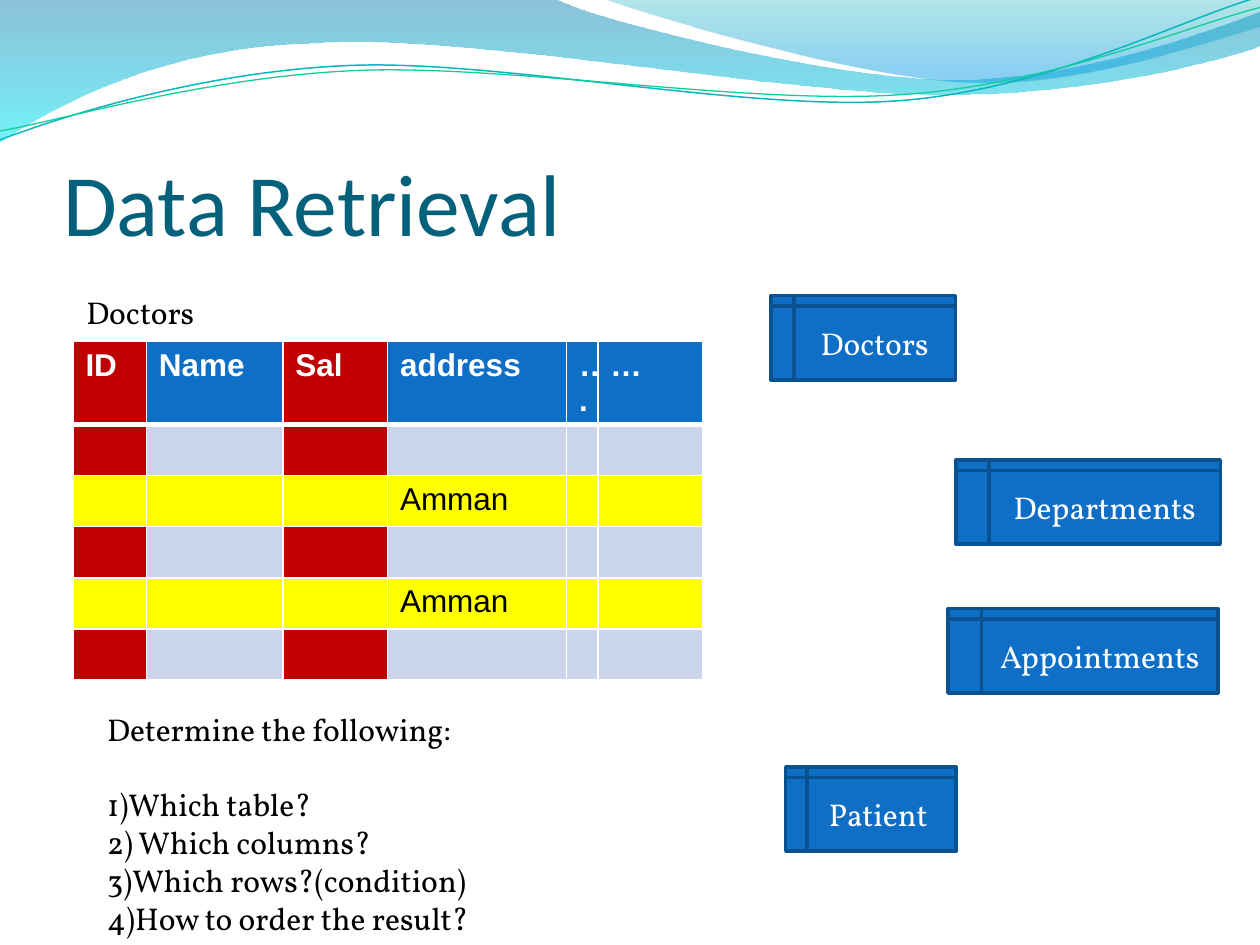
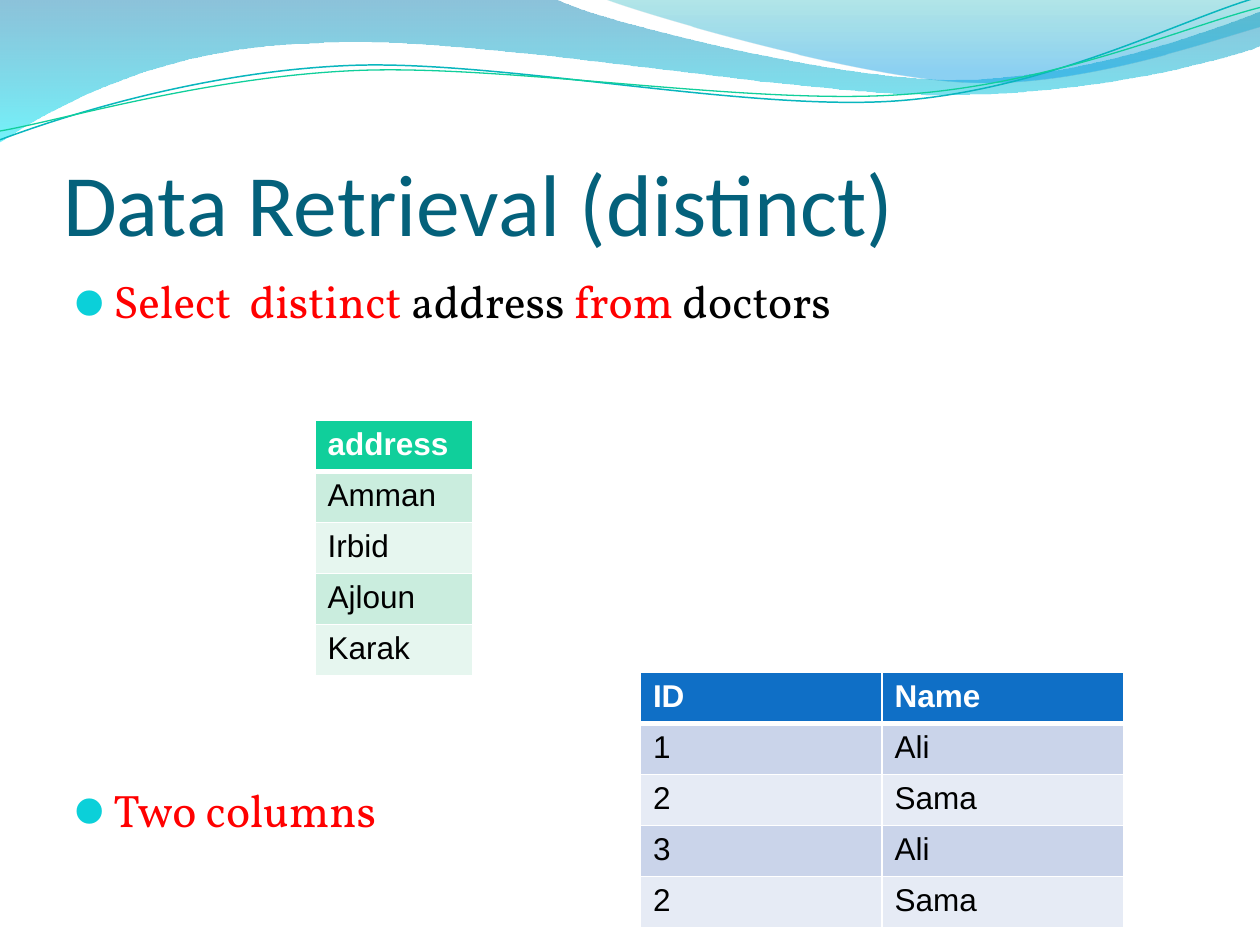
"""Build two slides on retrieving data from tables."""
import dataclasses

import pptx
import pptx.dml.color
import pptx.enum.shapes
import pptx.enum.text
import pptx.oxml
import pptx.oxml.ns
import pptx.util
from pptx.util import Cm, Pt


@dataclasses.dataclass(frozen=True)
class Theme:
    """Colours, fonts and type sizes of the deck."""
    title: str = "04617B"
    black: str = "000000"
    white: str = "FFFFFF"
    keyword: str = "FF0000"
    bullet: str = "0BD0D9"
    blue: str = "0F6FC6"
    blue_edge: str = "0A5190"
    blue_bands: tuple = ("CAD4EA", "E6EBF5")
    green: str = "10CF9B"
    green_bands: tuple = ("CAEDDE", "E6F6EF")
    chosen_column: str = "C00000"
    chosen_row: str = "FFFF00"
    title_font: str = "Calibri"
    body_font: str = "Vollkorn"
    table_font: str = "Arial"
    title_size: int = 50
    body_size: int = 26
    text_size: int = 18


THEME = Theme()
ROW_HEIGHT = 1.03
BLANK_LINE = 21.7

# Outlines in tenths of the slide width: start, then either a point for a
# straight edge or three points for a Bezier curve. Gradients run downwards
# and list position, colour and opacity in percent.
WAVES = (
    ([(0, 0), (4.4, -0.01),
      ((4.76, 0.17), (6.64, 0.63), (7.58, 0.63)),
      ((8.53, 0.63), (9.58, 0.26), (10, 0.09)), (10.01, 0.36),
      ((9.83, 0.44), (8.7, 0.76), (7.46, 0.75)),
      ((6.22, 0.75), (3.82, 0.28), (2.57, 0.34)),
      ((1.29, 0.36), (0.46, 0.83), (-0.01, 1.13))],
     ((0, "0079AD", 45), (100, "00E9F7", 55))),
    ([(4.79, -0.01),
      ((5.09, 0.11), (6.82, 0.62), (7.69, 0.65)),
      ((8.56, 0.69), (9.61, 0.32), (10, 0.21)), (10, 0)],
     ((0, "00ABB4", 30), (80, "0099E4", 45))),
)
STRANDS = (
    ([(0, 1.11),
      ((0.48, 0.93), (1.58, 0.57), (2.77, 0.52)),
      ((3.95, 0.47), (5.93, 0.89), (7.13, 0.8)),
      ((8.33, 0.71), (9.38, 0.15), (9.98, -0.02))], "09B6BE", 0.85),
    ([(0, 1.04),
      ((0.47, 0.96), (1.64, 0.61), (2.83, 0.56)),
      ((4.03, 0.51), (5.97, 0.84), (7.17, 0.75)),
      ((8.36, 0.67), (9.41, 0.21), (10, 0.06))], "10CF9B", 0.75),
)


def rgb(code):
    """Turn a hex code into a colour."""
    return pptx.dml.color.RGBColor.from_string(code)


def place(shape, left, top, width, height):
    """Move and size a shape, in centimetres."""
    shape.left, shape.top = Cm(left), Cm(top)
    shape.width, shape.height = Cm(width), Cm(height)


def add_span(para, text, font, size, color, bold=False):
    """Add one formatted run to a paragraph."""
    span = para.add_run()
    span.text = text
    span.font.name, span.font.size, span.font.bold = font, Pt(size), bold
    span.font.color.rgb = rgb(color)


def add_xml(parent, markup, index=None):
    """Insert drawing markup into an element, at its end by default."""
    tag, rest = markup.split(" ", 1)
    node = pptx.oxml.parse_xml(f"<{tag} {pptx.oxml.ns.nsdecls('a')} {rest}")
    parent.insert(len(parent) if index is None else index, node)
    return node


def draw_outline(page, outline, close):
    """Draw an outline as a freeform whose triples are Bezier curves."""
    points = []
    for part in outline:
        points += part if isinstance(part[0], tuple) else [part]
    points = [(x * 2540, y * 2540) for x, y in points]
    builder = page.shapes.build_freeform(*points[0], scale=Cm(0.001))
    builder.add_line_segments(points[1:], close=close)
    shape = builder.convert_to_shape()
    shape.shadow.inherit = False
    edges = iter(list(shape.element.iter(pptx.oxml.ns.qn("a:lnTo"))))
    for part in outline[1:]:
        edge = next(edges)
        if isinstance(part[0], tuple):
            track = edge.getparent()
            curve = add_xml(track, "a:cubicBezTo />", track.index(edge))
            for corner in (edge, next(edges), next(edges)):
                curve.append(corner[0])
                track.remove(corner)
    return shape


def add_wave_band(deck):
    """Draw the waves and strands once, then put them on the master."""
    page = deck.slides[0]
    band = []
    for outline, stops in WAVES:
        wave = draw_outline(page, outline, True)
        wave.line.fill.background()
        wave.fill.gradient()
        wave.fill.gradient_angle = 270
        for stop, (position, color, _) in zip(wave.fill.gradient_stops, stops):
            stop.position = position / 100
            stop.color.rgb = rgb(color)
        colors = wave.element.spPr.iter(pptx.oxml.ns.qn("a:srgbClr"))
        for node, (_, _, opacity) in zip(colors, stops):
            add_xml(node, f'a:alpha val="{opacity * 1000}"/>')
        band.append(wave)
    for outline, color, width in STRANDS:
        strand = draw_outline(page, outline, False)
        strand.fill.background()
        strand.line.color.rgb = rgb(color)
        strand.line.width = Pt(width)
        band.append(strand)
    tree = deck.slide_master.element.cSld.spTree
    for index, shape in enumerate(band, start=2):
        tree.insert(index, shape.element)


def add_page(deck, layout, title):
    """Add a slide with a title."""
    page = deck.slides.add_slide(deck.slide_layouts[layout])
    box = page.shapes.title
    place(box, 1.27, 1.95, 22.86, 3.17)
    frame = box.text_frame
    frame.auto_size = pptx.enum.text.MSO_AUTO_SIZE.NONE
    frame.vertical_anchor = pptx.enum.text.MSO_ANCHOR.BOTTOM
    frame.margin_left = frame.margin_right = frame.margin_bottom = 0
    para = frame.paragraphs[0]
    para.alignment = pptx.enum.text.PP_ALIGN.LEFT
    add_span(para, title, THEME.title_font, THEME.title_size, THEME.title)
    return page


def fill_bullets(box, items):
    """Fill the body with bullets, each a space before and coloured spans."""
    place(box, 1.27, 5.38, 22.86, 12.19)
    frame = box.text_frame
    frame.auto_size = pptx.enum.text.MSO_AUTO_SIZE.NONE
    for number, (space, spans) in enumerate(items):
        para = frame.add_paragraph() if number else frame.paragraphs[0]
        para.space_before = Pt(space)
        props = para._p.get_or_add_pPr()
        props.set("marL", str(Cm(0.76)))
        props.set("indent", str(-Cm(0.76)))
        add_xml(props, f'a:buClr ><a:srgbClr val="{THEME.bullet}"/></a:buClr>')
        add_xml(props, 'a:buChar char="\u26ab"/>')
        for text, color in spans:
            add_span(para, text, THEME.body_font, THEME.body_size, color)


def add_text(page, area, lines):
    """Add a text box; each line is a space before and its text."""
    box = page.shapes.add_textbox(*map(Cm, area))
    frame = box.text_frame
    frame.word_wrap = True
    for number, (space, text) in enumerate(lines):
        para = frame.add_paragraph() if number else frame.paragraphs[0]
        para.space_before = Pt(space)
        add_span(para, text, THEME.body_font, THEME.text_size, THEME.black)


def add_store(page, name, left, top, width):
    """Add a box that stands for a stored table."""
    kind = pptx.enum.shapes.MSO_SHAPE.FLOWCHART_INTERNAL_STORAGE
    box = page.shapes.add_shape(kind, Cm(left), Cm(top), Cm(width), Cm(1.7))
    box.shadow.inherit = False
    box.fill.solid()
    box.fill.fore_color.rgb = rgb(THEME.blue)
    box.line.color.rgb = rgb(THEME.blue_edge)
    box.line.width = Pt(2)
    para = box.text_frame.paragraphs[0]
    para.alignment = pptx.enum.text.PP_ALIGN.CENTER
    add_span(para, name, THEME.body_font, THEME.text_size, THEME.white)


def set_borders(cell, row):
    """Give a cell white borders, thick under the header."""
    props = cell._tc.get_or_add_tcPr()
    widths = {"L": 1, "R": 1, "T": 3 if row == 1 else 1, "B": 1 if row else 3}
    for index, (side, width) in enumerate(widths.items()):
        add_xml(props, f'a:ln{side} w="{Pt(width)}"><a:solidFill><a:srgbClr '
                       f'val="{THEME.white}"/></a:solidFill></a:ln{side}>', index)


def add_grid(page, left, top, columns, rows, color_of, header_height=ROW_HEIGHT):
    """Add a table whose cell fills come from color_of(row, column)."""
    heights = [header_height] + [ROW_HEIGHT] * (len(rows) - 1)
    table = page.shapes.add_table(len(rows), len(columns), Cm(left), Cm(top),
                                  Cm(sum(columns)), Cm(sum(heights))).table
    table.horz_banding = False
    for column, width in zip(table.columns, columns):
        column.width = Cm(width)
    for r, texts in enumerate(rows):
        table.rows[r].height = Cm(heights[r])
        for c, text in enumerate(texts):
            cell = table.cell(r, c)
            set_borders(cell, r)
            cell.fill.solid()
            cell.fill.fore_color.rgb = rgb(color_of(r, c))
            if text:
                add_span(cell.text_frame.paragraphs[0], text, THEME.table_font,
                         THEME.text_size, THEME.black if r else THEME.white, r == 0)


def banded(header, bands):
    """Return a fill rule with a header colour and alternating rows."""
    return lambda row, column: bands[(row - 1) % 2] if row else header


def selection_color(row, column):
    """Colour the chosen rows and columns of the doctors table."""
    if row in (2, 4):
        return THEME.chosen_row
    if column in (0, 2):
        return THEME.chosen_column
    return THEME.blue_bands[0] if row else THEME.blue


def build_retrieval(deck):
    """Build the slide on choosing tables, columns and rows."""
    page = add_page(deck, 5, "Data Retrieval ")
    blank, match = [""] * 6, ["", "", "", "Amman", "", ""]
    header = ["ID", "Name", "Sal", "address", "\u2026.", "\u2026"]
    add_grid(page, 1.47, 6.88, [1.48, 2.75, 2.11, 3.61, 0.63, 2.12],
             [header, blank, match, blank, match, blank], selection_color, 1.57)
    for store in (("Appointments", 19.11, 12.27, 5.44),
                  ("Departments", 19.27, 9.27, 5.33),
                  ("Patient ", 15.84, 15.46, 3.43),
                  ("Doctors", 15.54, 5.96, 3.72)):
        add_store(page, *store)
    add_text(page, (1.49, 5.79, 4.65, 1.02), [(0, "Doctors")])
    add_text(page, (1.91, 14.18, 9.53, 5.64), [
        (0, "Determine the following:"), (BLANK_LINE, "1)Which table?"),
        (0, "2) Which columns?"), (0, "3)Which rows?(condition)"),
        (0, "4)How to order the result?")])


def build_distinct(deck):
    """Build the slide on distinct values."""
    page = add_page(deck, 1, "Data Retrieval (distinct)")
    fill_bullets(page.placeholders[1], [
        (0, [("Select  distinct", THEME.keyword), (" address ", THEME.black),
             ("from", THEME.keyword), (" doctors", THEME.black)]),
        (259.5, [("Two columns ", THEME.keyword)])])
    add_grid(page, 6.35, 8.47, [3.18],
             [["address"], ["Amman"], ["Irbid"], ["Ajloun"], ["Karak"]],
             banded(THEME.green, THEME.green_bands))
    add_grid(page, 12.91, 13.55, [4.87, 4.87],
             [["ID", "Name"], ["1", "Ali"], ["2", "Sama"], ["3 ", "Ali"], ["2", "Sama"]],
             banded(THEME.blue, THEME.blue_bands))


def main():
    """Build and save the deck."""
    deck = pptx.Presentation()
    deck.slide_width, deck.slide_height = Cm(25.4), Cm(19.05)
    build_retrieval(deck)
    build_distinct(deck)
    add_wave_band(deck)
    deck.save("out.pptx")


main()
